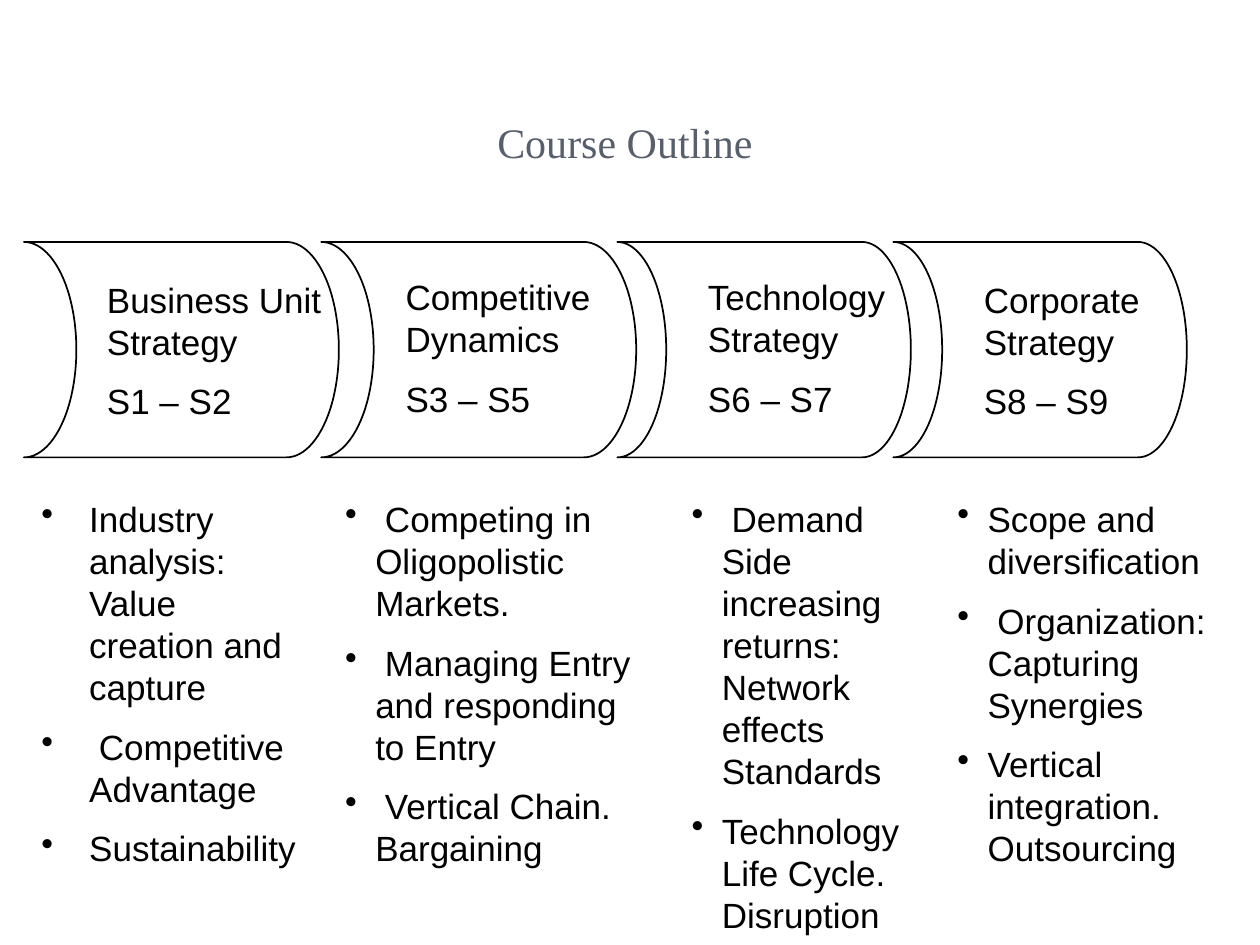
from pptx import Presentation
from pptx.dml.color import RGBColor
from pptx.enum import shapes, text
from pptx.oxml.ns import qn
from pptx.util import Inches, Pt
from lxml import etree

COLORS = {"ink": "000000", "title": "575F6D"}

prs = Presentation()
prs.slide_width, prs.slide_height = Inches(10), Inches(7.5)
slide = prs.slides.add_slide(prs.slide_layouts[6])


def add_text(box, lines, size=20, font="Arial", color="ink", space=10):
    frame = slide.shapes.add_textbox(*map(Inches, box)).text_frame
    frame.word_wrap = True
    for i, line in enumerate(lines):
        paragraph = frame.paragraphs[0] if i == 0 else frame.add_paragraph()
        paragraph.text = line
        paragraph.space_before = Pt(space)
        paragraph.font.size = Pt(size)
        paragraph.font.name = font
        paragraph.font.color.rgb = RGBColor.from_string(COLORS[color])
    return frame


title = add_text((0.17, 0.71, 9.58, 0.83), ["Course Outline"], 24, "Times New Roman", "title", 0)
title.vertical_anchor = text.MSO_ANCHOR.MIDDLE
title.paragraphs[0].alignment = text.PP_ALIGN.CENTER

stages = [
    ((0.19, 2.5), (0.75, 2.16, 2.42), ["Business Unit Strategy", "S1 – S2"],
     (0.23, 2.33, 3.77, 0.38),
     ["Industry analysis:  Value creation and capture", " Competitive Advantage", "Sustainability"]),
    ((2.55, 2.5), (3.12, 2.14, 2.08), ["Competitive Dynamics", "S3 – S5"],
     (2.64, 2.64, 3.64, 0.24),
     [" Competing in Oligopolistic Markets.", " Managing Entry and responding to Entry",
      " Vertical Chain. Bargaining"]),
    ((4.9, 2.33), (5.52, 2.14, 2.08), ["Technology Strategy", "S6 – S7"],
     (5.39, 2.15, 2.96, 0.24),
     [" Demand Side increasing returns: Network effects Standards",
      "Technology Life Cycle. Disruption"]),
    ((7.09, 2.33), (7.71, 2.16, 2.08), ["Corporate Strategy", "S8 – S9"],
     (7.5, 2.5, 3.58, 0.24),
     ["Scope and diversification", " Organization: Capturing Synergies",
      "Vertical integration. Outsourcing"]),
]

for (left, width), heading_box, heading, (topic_left, topic_width, topic_height, indent), topics in stages:
    band = slide.shapes.add_shape(
        shapes.MSO_SHAPE.FLOWCHART_STORED_DATA,
        Inches(left), Inches(1.92), Inches(width), Inches(1.71))
    band.shadow.inherit = False
    band.fill.background()
    band.line.color.rgb = RGBColor.from_string(COLORS["ink"])
    band.line.width = Pt(1)
    band._element.spPr.find(qn("a:xfrm")).set("flipH", "1")

    add_text((*heading_box, 1.28), heading)

    topic_frame = add_text((topic_left, 3.9, topic_width, topic_height), topics)
    for paragraph in topic_frame.paragraphs:
        properties = paragraph._p.get_or_add_pPr()
        properties.set("marL", str(Inches(indent)))
        properties.set("indent", str(-Inches(indent)))
        bullet = etree.Element(qn("a:buChar"), char="•")
        properties.find(qn("a:spcBef")).addnext(bullet)

prs.save("out.pptx")
